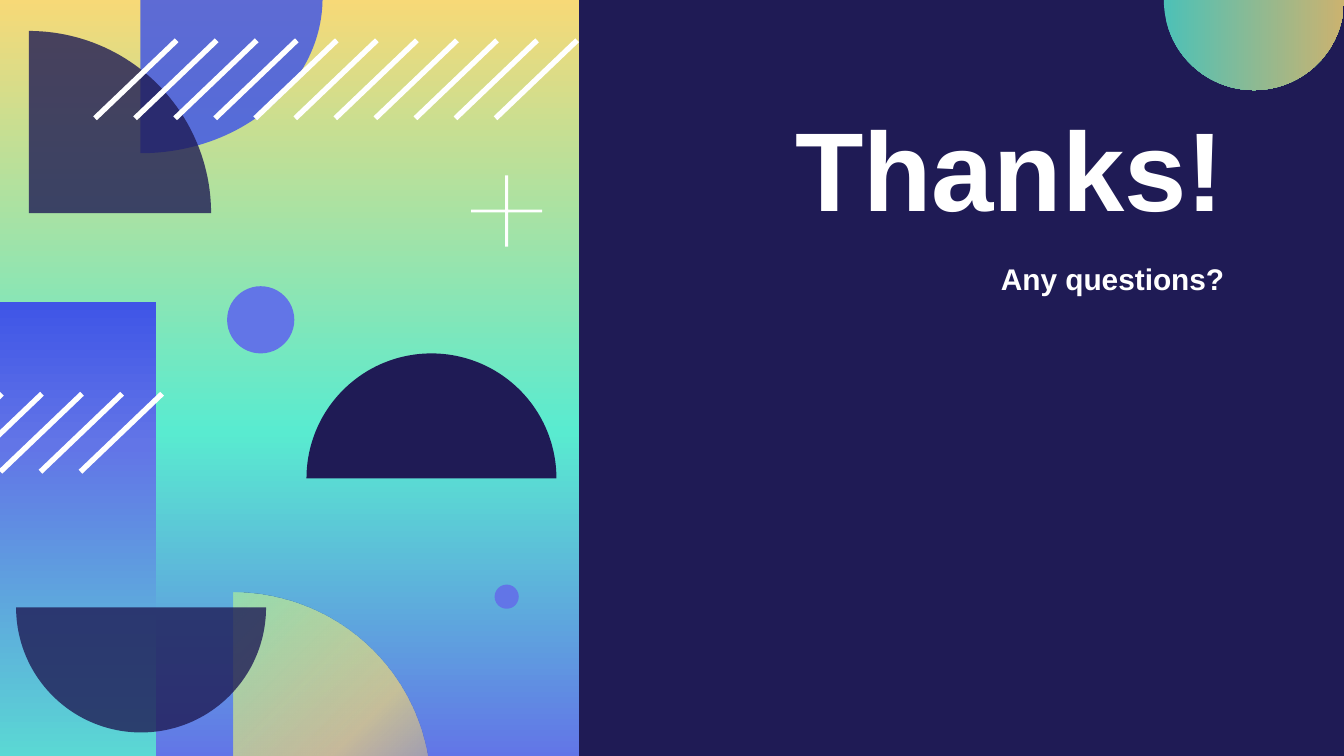
from pptx import Presentation
from pptx.dml.color import RGBColor
from pptx.enum import shapes, text
from pptx.oxml import parse_xml
from pptx.oxml.ns import nsdecls, qn
from pptx.util import Inches, Pt

NAVY, WHITE, VIOLET, BLUE = "1F1B55", "FFFFFF", "6275E7", "3F55E7"
MINT, YELLOW = "59EBD0", "F7D977"
SHAPE = shapes.MSO_SHAPE
QUARTER, HALF = (90, 180), (90, 270)  # pie start and end angles


def rgb(color):
    return RGBColor.from_string(color)


def color_xml(color, alpha=100):
    return f'<a:srgbClr val="{color}"><a:alpha val="{alpha * 1000}"/></a:srgbClr>'


def set_fill(sp, xml):
    sp.fill.background()
    props = sp._element.spPr
    props.replace(props.find(qn("a:noFill")), parse_xml(xml))


def paint(sp, color, alpha=100):
    set_fill(sp, f'<a:solidFill {nsdecls("a")}>{color_xml(color, alpha)}</a:solidFill>')


def paint_gradient(sp, stops, angle):
    """Fill with stops of (position in percent, color, opacity in percent)."""
    marks = "".join(f'<a:gs pos="{pos * 1000}">{color_xml(color, alpha)}</a:gs>'
                    for pos, color, alpha in stops)
    set_fill(sp, f'<a:gradFill {nsdecls("a")} rotWithShape="1"><a:gsLst>{marks}</a:gsLst>'
                 f'<a:lin ang="{angle * 60000}" scaled="0"/></a:gradFill>')


def add_shape(s, kind, x, y, w, h, rotation=0):
    sp = s.shapes.add_shape(kind, Inches(x), Inches(y), Inches(w), Inches(h))
    sp.rotation = rotation
    sp.shadow.inherit = False
    sp.line.fill.background()
    return sp


def add_pie(s, x, y, w, h, angles, rotation):
    sp = add_shape(s, SHAPE.PIE, x, y, w, h, rotation)
    for i, angle in enumerate(angles):
        sp.adjustments[i] = angle * 0.6  # 60000ths of a degree, scaled by 100000
    return sp


def add_stripes(s, x, y, count):
    for i in range(count):
        paint(add_shape(s, SHAPE.RECTANGLE, x + i * 2.98 / 10, y, 0.84, 0.04, 136.3), WHITE)


def add_art_panel(s, x, y, w, h):
    # Gradient blocks
    panel = add_shape(s, SHAPE.RECTANGLE, x, y, w, h)
    paint_gradient(panel, [(0, YELLOW, 100), (57, MINT, 100), (100, VIOLET, 100)], 90)
    block = add_shape(s, SHAPE.RECTANGLE, x - 0.42, y + 2.26, 1.6, 3.82)
    paint_gradient(block, [(0, BLUE, 100), (28, VIOLET, 100), (100, MINT, 100)], 90)

    # Translucent quarter and half discs
    quarter = add_pie(s, x + 0.29, y + 4.42, 2.93, 2.93, QUARTER, 180)
    paint_gradient(quarter, [(0, MINT, 100), (58, YELLOW, 67), (100, BLUE, 68)], 225)
    paint(add_pie(s, x + 0.14, y + 3.6, 1.86, 1.86, HALF, 270), NAVY, 80)
    paint(add_pie(s, x - 0.09, y - 1.36, 2.31, 2.71, QUARTER, 270), BLUE, 83)
    paint(add_pie(s, x - 1.12, y + 0.24, 2.71, 2.71, QUARTER, 180), NAVY, 80)

    # White stripes
    add_stripes(s, x + 0.61, y + 0.58, 11)
    add_stripes(s, x - 0.69, y + 3.21, 5)

    # Dots, dark half disc and plus sign
    for dx, dy, size in ((1.71, 2.14, 0.5), (3.7, 4.36, 0.18)):
        paint(add_shape(s, SHAPE.OVAL, x + dx, y + dy, size, size), VIOLET)
    paint(add_pie(s, x + 2.3, y + 2.64, 1.86, 1.86, HALF, 90), NAVY)
    plus = add_shape(s, SHAPE.MATH_PLUS, x + 3.43, y + 1.22, 0.72, 0.72)
    plus.adjustments[0] = 0.03
    paint(plus, WHITE)


def add_corner_disc(s, x, y, size):
    disc = add_pie(s, x, y, size, size, HALF, 270)
    paint_gradient(disc, [(0, MINT, 80), (100, YELLOW, 80)], 90)


def write(sp, words, box, size, anchor, space_after=0):
    sp.left, sp.top, sp.width, sp.height = map(Inches, box)
    tf = sp.text_frame
    tf.text = words
    tf.word_wrap = True
    tf.auto_size = text.MSO_AUTO_SIZE.NONE
    tf.vertical_anchor = anchor
    tf.margin_left = tf.margin_right = tf.margin_top = tf.margin_bottom = Inches(0.1)
    p = tf.paragraphs[0]
    p.alignment = text.PP_ALIGN.RIGHT
    p.line_spacing = 1.0
    p.space_before, p.space_after = Pt(0), Pt(space_after)
    p.font.name, p.font.size, p.font.bold = "Arial", Pt(size), True
    p.font.color.rgb = rgb(WHITE)


def add_closing_text(s, x, y, w):
    title_h = 1.07
    write(s.shapes.title, "Thanks!", (x, y, w, title_h), 60, text.MSO_ANCHOR.BOTTOM)
    write(s.placeholders[1], "Any questions?", (x, y + title_h, w, 1.4), 16,
          text.MSO_ANCHOR.TOP, 10)


def main():
    prs = Presentation()
    prs.slide_width, prs.slide_height = Inches(10), Inches(10 * 9 / 16)
    s = prs.slides.add_slide(prs.slide_layouts[0])
    s.background.fill.solid()
    s.background.fill.fore_color.rgb = rgb(NAVY)
    add_art_panel(s, -0.02, -0.01, 4.33, 5.65)
    add_corner_disc(s, 8.66, -0.67, 1.34)
    add_closing_text(s, 5.34, 0.77, 3.87)
    prs.save("out.pptx")


if __name__ == "__main__":
    main()
